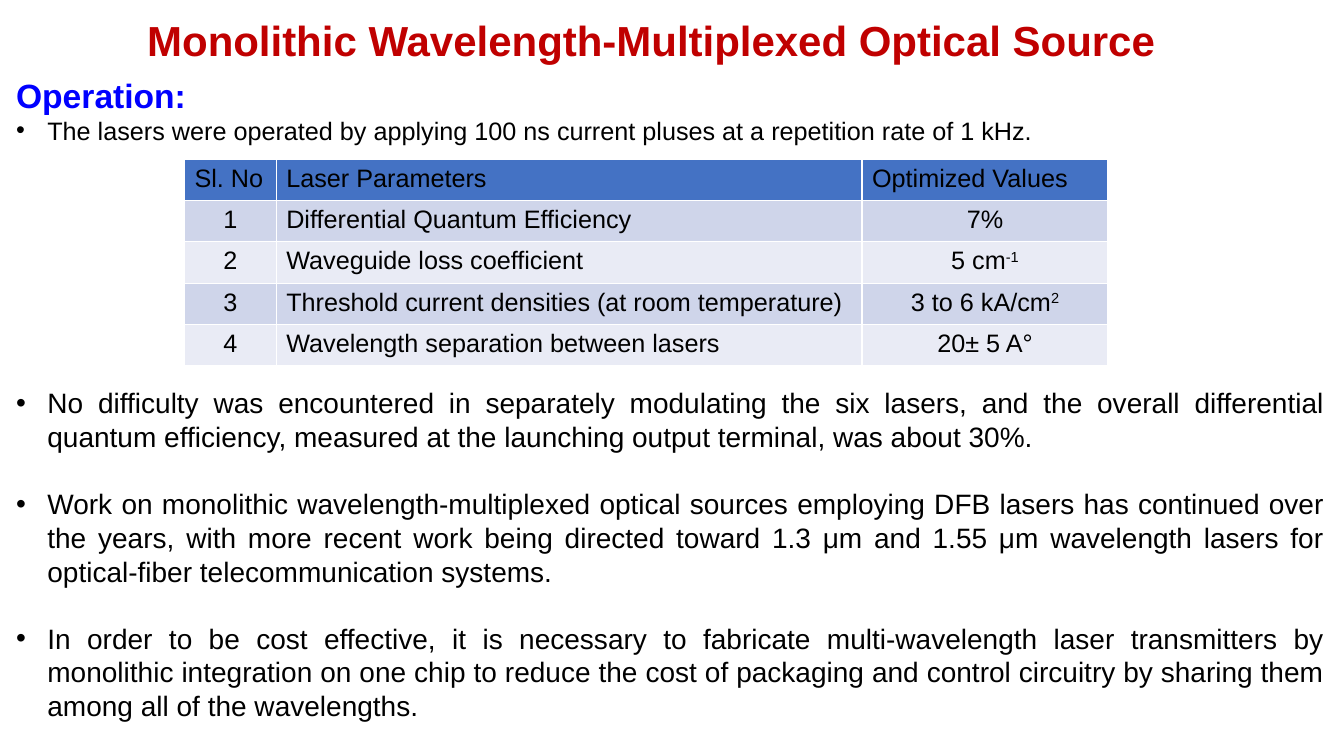
from lxml.etree import SubElement
from pptx import Presentation
from pptx.dml.color import RGBColor
from pptx.enum.text import MSO_ANCHOR as Anchor, MSO_AUTO_SIZE as AutoSize, PP_ALIGN as Align
from pptx.oxml.ns import qn
from pptx.util import Inches, Pt

COLORS = {"title": "C00000", "heading": "0000FF", "text": "000000",
          "header": "4472C4", "odd": "CFD5EA", "even": "E9EBF5"}

POINTS = [
    ("The lasers were operated by applying 100 ns current pluses at a repetition rate of 1 kHz.", 18, 0),
    ("No difficulty was encountered in separately modulating the six lasers, and the overall "
     "differential quantum efficiency, measured at the launching output terminal, was about 30%.", 20, 172),
    ("Work on monolithic wavelength-multiplexed optical sources employing DFB lasers has continued "
     "over the years, with more recent work being directed toward 1.3 μm and 1.55 μm wavelength "
     "lasers for optical-fiber telecommunication systems.", 20, 24),
    ("In order to be cost effective, it is necessary to fabricate multi-wavelength laser transmitters "
     "by monolithic integration on one chip to reduce the cost of packaging and control circuitry by "
     "sharing them among all of the wavelengths.", 20, 24),
]

ROWS = [
    ("Sl. No", "Laser Parameters", "Optimized Values"),
    ("1", "Differential Quantum Efficiency", "7%"),
    ("2", "Waveguide loss coefficient", "5 cm^-1"),
    ("3", "Threshold current densities (at room temperature)", "3 to 6 kA/cm^2"),
    ("4", "Wavelength separation between lasers", "20± 5 A°"),
]


def write(para, text, size=18, color="text", bold=False, align=Align.LEFT, before=0, bullet=False):
    props = para._p.get_or_add_pPr()
    indent = Inches(0.31) if bullet else 0
    props.set("marL", str(indent))
    props.set("indent", str(-indent))
    para.alignment = align
    para.space_before = Pt(before)
    if bullet:
        SubElement(props, qn("a:buFont")).set("typeface", "Arial")
        SubElement(props, qn("a:buChar")).set("char", "•")
    else:
        SubElement(props, qn("a:buNone"))
    for index, part in enumerate(text.split("^")):
        span = para.add_run()
        span.text = part
        span.font.name = "Arial"
        span.font.size = Pt(size)
        span.font.bold = bold
        span.font.color.rgb = RGBColor.from_string(COLORS[color])
        if index:
            span.font._element.set("baseline", "30000")


class Page:
    def __init__(self, deck):
        self.slide = deck.slides.add_slide(deck.slide_layouts[1])

    def place(self, index, left, top, width, height):
        box = self.slide.placeholders[index]
        box.left, box.top, box.width, box.height = map(Inches, (left, top, width, height))
        frame = box.text_frame
        frame.word_wrap = True
        frame.auto_size = AutoSize.NONE
        frame.vertical_anchor = Anchor.TOP
        return frame

    def title(self, text):
        frame = self.place(0, 1.36, 0.09, 10.42, 0.61)
        write(frame.paragraphs[0], text, size=30, color="title", bold=True)

    def body(self, heading, points):
        frame = self.place(1, 0.06, 0.69, 13.18, 6.6)
        write(frame.paragraphs[0], heading, size=24, color="heading", bold=True)
        for text, size, before in points:
            write(frame.add_paragraph(), text, size=size, align=Align.JUSTIFY, before=before, bullet=True)

    def table(self, rows, widths, left, top, row_height):
        table = self.slide.shapes.add_table(
            len(rows), len(widths), Inches(left), Inches(top),
            Inches(sum(widths)), Inches(row_height * len(rows))).table
        for column, width in zip(table.columns, widths):
            column.width = Inches(width)
        for r, row in enumerate(rows):
            fill = "header" if r == 0 else "odd" if r % 2 else "even"
            for c, text in enumerate(row):
                cell = table.cell(r, c)
                cell.fill.solid()
                cell.fill.fore_color.rgb = RGBColor.from_string(COLORS[fill])
                centered = r > 0 and c != 1
                write(cell.text_frame.paragraphs[0], text, align=Align.CENTER if centered else Align.LEFT)


def main():
    deck = Presentation()
    deck.slide_width, deck.slide_height = Inches(13.33), Inches(7.5)
    page = Page(deck)
    page.title("Monolithic Wavelength-Multiplexed Optical Source")
    page.body("Operation:", POINTS)
    page.table(ROWS, (0.91, 5.81, 2.44), 1.83, 1.58, 0.41)
    deck.save("out.pptx")


if __name__ == "__main__":
    main()
